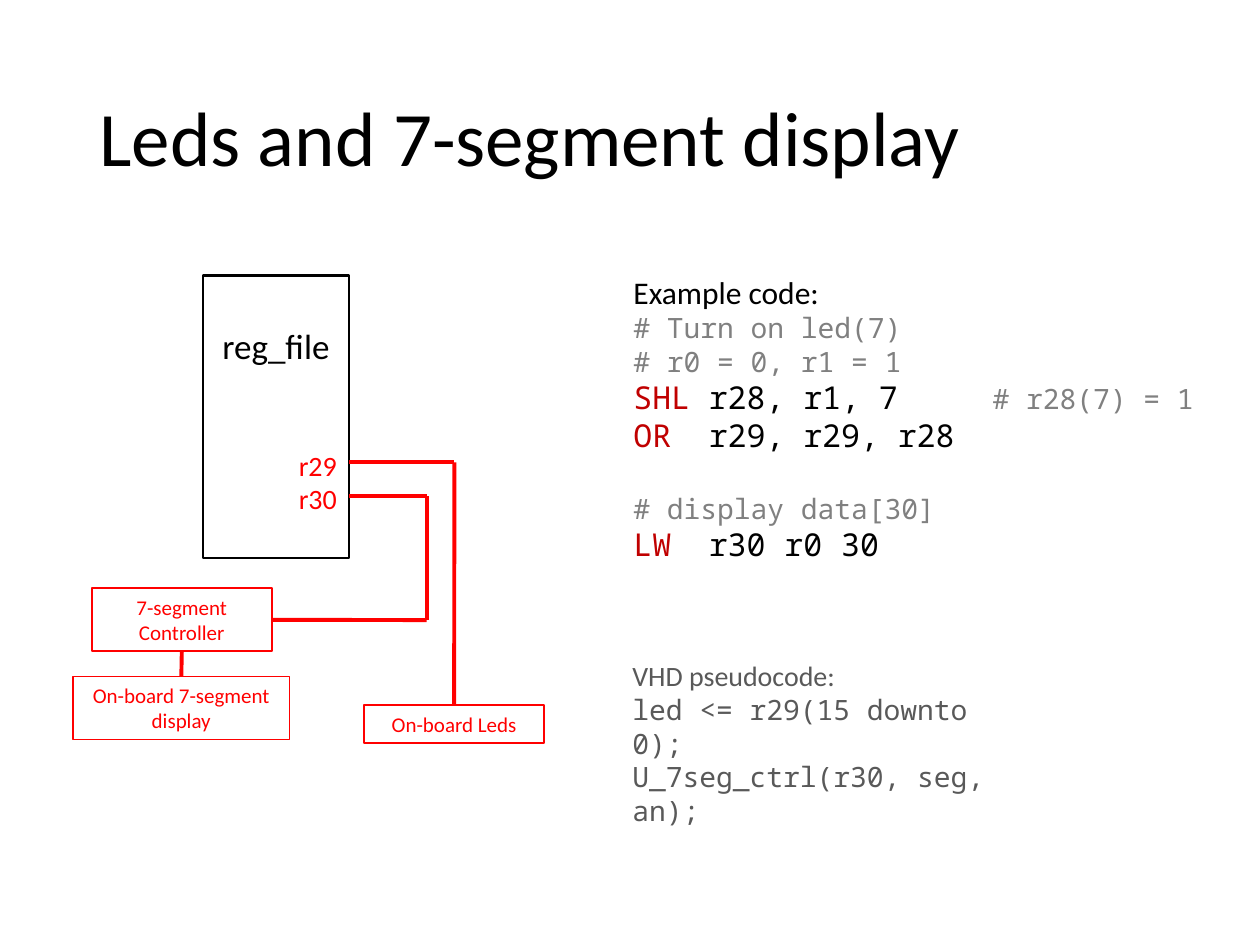
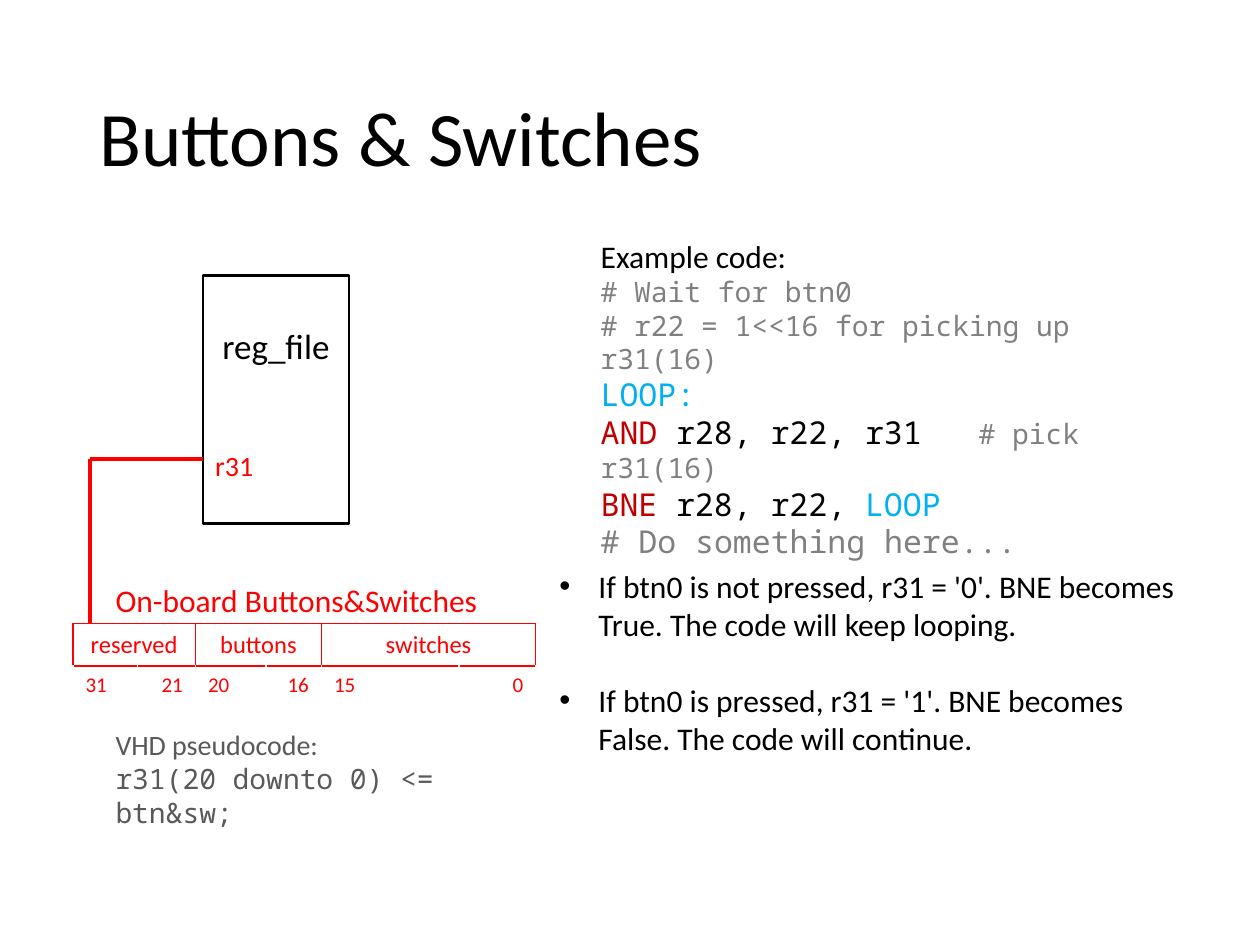
from lxml.etree import SubElement
from pptx import Presentation
from pptx.dml.color import RGBColor
from pptx.enum.shapes import MSO_CONNECTOR, MSO_SHAPE
from pptx.enum.text import MSO_ANCHOR as ANCHOR, MSO_AUTO_SIZE, PP_ALIGN as ALIGN
from pptx.oxml import parse_xml
from pptx.oxml.ns import nsdecls, qn
from pptx.util import Cm, Pt

BLACK = RGBColor(0x00, 0x00, 0x00)
RED = RGBColor(0xFF, 0x00, 0x00)
OPCODE = RGBColor(0xC0, 0x00, 0x00)
LABEL = RGBColor(0x00, 0xB0, 0xF0)
COMMENT = RGBColor(0x80, 0x80, 0x80)
DARK_GRAY = RGBColor(0x59, 0x59, 0x59)

SANS = "Calibri"
MONO = "Noto Sans Mono"
TOP, BOTTOM, RIGHT = 0, 2, 3
OPERAND_TAB = 1.52
TAB = "\t"


def write(frame, *runs, font=SANS, size=18, color=BLACK, align=ALIGN.LEFT,
          before=0, spacing=None, tabs=(), hanging=None):
    """Append a paragraph; a run is a string or a (string, color, size) tuple."""
    paragraph = frame.add_paragraph() if frame.text else frame.paragraphs[0]
    paragraph.alignment = align
    paragraph.space_before = Pt(before)
    if spacing:
        paragraph.line_spacing = spacing
    properties = paragraph._p.get_or_add_pPr()
    if hanging:
        properties.set("marL", str(Cm(hanging)))
        properties.set("indent", str(-Cm(hanging)))
    if tabs:
        stops = SubElement(properties, qn("a:tabLst"))
        for stop in tabs:
            SubElement(stops, qn("a:tab"), pos=str(Cm(stop)), algn="l")
    for item in runs:
        text, run_color, run_size = (item, color, size) if isinstance(item, str) else item
        run = paragraph.add_run()
        run.text = text
        run.font.name = font
        run.font.size = Pt(run_size)
        run.font.color.rgb = run_color


def place(shape, left, top, width, height):
    shape.left, shape.top = Cm(left), Cm(top)
    shape.width, shape.height = Cm(width), Cm(height)


def add_titled_slide(prs, layout, title):
    slide = prs.slides.add_slide(prs.slide_layouts[layout])
    heading = slide.shapes.title
    place(heading, 1.75, 1.02, 21.92, 3.68)
    heading.text_frame.vertical_anchor = ANCHOR.MIDDLE
    write(heading.text_frame, title, size=44, spacing=0.9)
    return slide


def add_text_area(slide, left, top, width, height):
    area = slide.shapes.add_textbox(Cm(left), Cm(top), Cm(width), Cm(height))
    area.text_frame.word_wrap = True
    return area.text_frame


def add_box(slide, left, top, width, height, line=RED, weight=1):
    box = slide.shapes.add_shape(MSO_SHAPE.RECTANGLE, Cm(left), Cm(top),
                                 Cm(width), Cm(height))
    box.shadow.inherit = False
    box.fill.background()
    box.line.color.rgb = line
    box.line.width = Pt(weight)
    box.text_frame.word_wrap = True
    box.text_frame.vertical_anchor = ANCHOR.TOP
    return box


def add_device(slide, label, left, top, width, height):
    device = add_box(slide, left, top, width, height)
    write(device.text_frame, label, size=12, color=RED, align=ALIGN.CENTER)
    return device


def add_register_file(slide, height, registers, align):
    reg_file = add_box(slide, 4.09, 5.56, 2.95, height, BLACK, 1.5)
    frame = reg_file.text_frame
    frame.margin_top = Cm(0.99)
    write(frame, "reg_file", size=20, align=ALIGN.CENTER)
    for index, register in enumerate(registers):
        write(frame, register, size=16, color=RED, align=align,
              before=0 if index else 46.4)


def add_wire(slide, start, end, start_joint=None, end_joint=None):
    """Draw a red line; a joint is a (shape, side) pair."""
    wire = slide.shapes.add_connector(MSO_CONNECTOR.STRAIGHT,
                                      *(Cm(value) for value in (*start, *end)))
    if start_joint:
        wire.begin_connect(*start_joint)
    if end_joint:
        wire.end_connect(*end_joint)
    wire.line.color.rgb = RED
    wire.line.width = Pt(2.25)
    SubElement(wire._element.spPr, qn("a:effectLst"))


def write_comments(frame, *comments, before=0):
    for comment in comments:
        write(frame, comment, font=MONO, size=16, color=COMMENT, before=before)


def write_instruction(frame, opcode, *operands, comment=None, comment_tab=None):
    runs = [(opcode, OPCODE, 18), TAB, *operands]
    tabs = [OPERAND_TAB]
    if comment:
        runs.append((TAB + comment, COMMENT, 16))
        tabs.append(comment_tab)
    write(frame, *runs, font=MONO, tabs=tabs)


def add_pseudocode(slide, left, top, width, height, *statements):
    frame = add_text_area(slide, left, top, width, height)
    write(frame, "VHD pseudocode:", size=16, color=DARK_GRAY)
    for statement in statements:
        write(frame, statement, font=MONO, size=16, color=DARK_GRAY)


def set_borders(cell, sides):
    properties = cell._tc.get_or_add_tcPr()
    for index, side in enumerate(sides):
        properties.insert(index, parse_xml(
            f'<a:ln{side} {nsdecls("a")} w="12700"><a:solidFill>'
            f'<a:srgbClr val="{RED}"/></a:solidFill></a:ln{side}>'))


def fill_cell(cell, text, size, align, anchor):
    cell.vertical_anchor = anchor
    write(cell.text_frame, text, size=size, color=RED, align=align)


def add_bit_fields(slide, left, top, fields, widths, heights):
    """Draw a register's fields over their highest and lowest bit numbers."""
    frame = slide.shapes.add_table(2, len(widths), Cm(left), Cm(top),
                                   Cm(sum(widths)), Cm(sum(heights)))
    table = frame.table
    table.first_row = table.horz_banding = False
    for column, width in zip(table.columns, widths):
        column.width = Cm(width)
    for row, height in zip(table.rows, heights):
        row.height = Cm(height)
    for cell in table.iter_cells():
        cell.fill.background()
    for index, (name, high, low) in enumerate(fields):
        first, last = 2 * index, 2 * index + 1
        table.cell(0, first).merge(table.cell(0, last))
        fill_cell(table.cell(0, first), name, 14, ALIGN.CENTER, ANCHOR.MIDDLE)
        fill_cell(table.cell(1, first), high, 12, ALIGN.LEFT, ANCHOR.BOTTOM)
        fill_cell(table.cell(1, last), low, 12, ALIGN.RIGHT, ANCHOR.BOTTOM)
        set_borders(table.cell(0, first), "LRTB")
        set_borders(table.cell(0, last), "RTB")
        for column in (first, last):
            set_borders(table.cell(1, column), "T")


def build_leds_slide(prs):
    slide = add_titled_slide(prs, 5, "Leds and 7-segment display")
    add_register_file(slide, 5.69, ["r29", "r30"], ALIGN.RIGHT)
    leds = add_device(slide, "On-board Leds", 7.34, 14.22, 3.63, 0.76)
    controller = add_device(slide, "7-segment Controller", 1.85, 11.86, 3.63, 1.27)
    display = add_device(slide, "On-board 7-segment display", 1.47, 13.64, 4.37, 1.27)

    led_corner = (9.16, 9.32)
    add_wire(slide, (7.04, 9.32), led_corner)
    add_wire(slide, led_corner, (9.16, 14.22), end_joint=(leds, TOP))
    upper_corner, lower_corner = (8.6, 10), (8.6, 12.5)
    add_wire(slide, (7.04, 10), upper_corner)
    add_wire(slide, upper_corner, lower_corner)
    add_wire(slide, lower_corner, (5.48, 12.5), end_joint=(controller, RIGHT))
    add_wire(slide, (3.66, 13.13), (3.66, 13.64), (controller, BOTTOM), (display, TOP))

    code = add_text_area(slide, 12.52, 5.38, 12.37, 6.86)
    write(code, "Example code:")
    write_comments(code, "# Turn on led(7)", "# r0 = 0, r1 = 1")
    write_instruction(code, "SHL", "r28, r1, 7", comment="# r28(7) = 1", comment_tab=7.24)
    write_instruction(code, "OR", "r29, r29, r28")
    write_comments(code, "# display data[30]", before=21.5)
    write_instruction(code, "LW", "r30 r0 30")
    add_pseudocode(slide, 12.5, 13.16, 8.05, 2.29,
                   "led <= r29(15 downto 0);", "U_7seg_ctrl(r30, seg, an);")


def build_buttons_slide(prs):
    slide = add_titled_slide(prs, 1, "Buttons & Switches")
    add_register_file(slide, 5, ["r31"], ALIGN.LEFT)
    fields = [("reserved", "31", "21"), ("buttons", "20", "16"), ("switches", "15", "0")]
    add_bit_fields(slide, 1.47, 12.57, fields,
                   [1.3, 1.17, 1.42, 1.12, 2.77, 1.55], [0.85, 0.77])
    inputs_label = add_text_area(slide, 2.08, 11.58, 8.59, 1.02)
    write(inputs_label, "On-board Buttons&Switches", color=RED)
    corner = (1.82, 9.25)
    add_wire(slide, (4.09, 9.25), corner)
    add_wire(slide, corner, (1.82, 12.58))

    code = add_text_area(slide, 11.86, 4.65, 12.37, 6.2)
    write(code, "Example code:")
    write_comments(code, "# Wait for btn0", "# r22 = 1<<16 for picking up r31(16)")
    write(code, "LOOP:", font=MONO, color=LABEL)
    write_instruction(code, "AND", "r28, r22, r31", comment="# pick r31(16)", comment_tab=7.62)
    write_instruction(code, "BNE", "r28, r22, ", ("LOOP", LABEL, 18))
    write(code, "# Do something here...", font=MONO, color=COMMENT)

    outcomes = slide.placeholders[1]
    place(outcomes, 11.02, 11.3, 13.26, 4.06)
    outcomes.text_frame.auto_size = MSO_AUTO_SIZE.NONE
    write(outcomes.text_frame, "If btn0 is not pressed, r31 = '0'. BNE becomes True. "
          "The code will keep looping.", hanging=0.79)
    write(outcomes.text_frame, "If btn0 is pressed, r31 = '1'. BNE becomes False. "
          "The code will continue.", hanging=0.79, before=22)
    add_pseudocode(slide, 2.08, 14.55, 8.13, 1.63, "r31(20 downto 0) <= btn&sw;")


def main():
    prs = Presentation()
    prs.slide_width, prs.slide_height = Cm(25.4), Cm(19.05)
    build_leds_slide(prs)
    build_buttons_slide(prs)
    prs.save("out.pptx")


if __name__ == "__main__":
    main()
